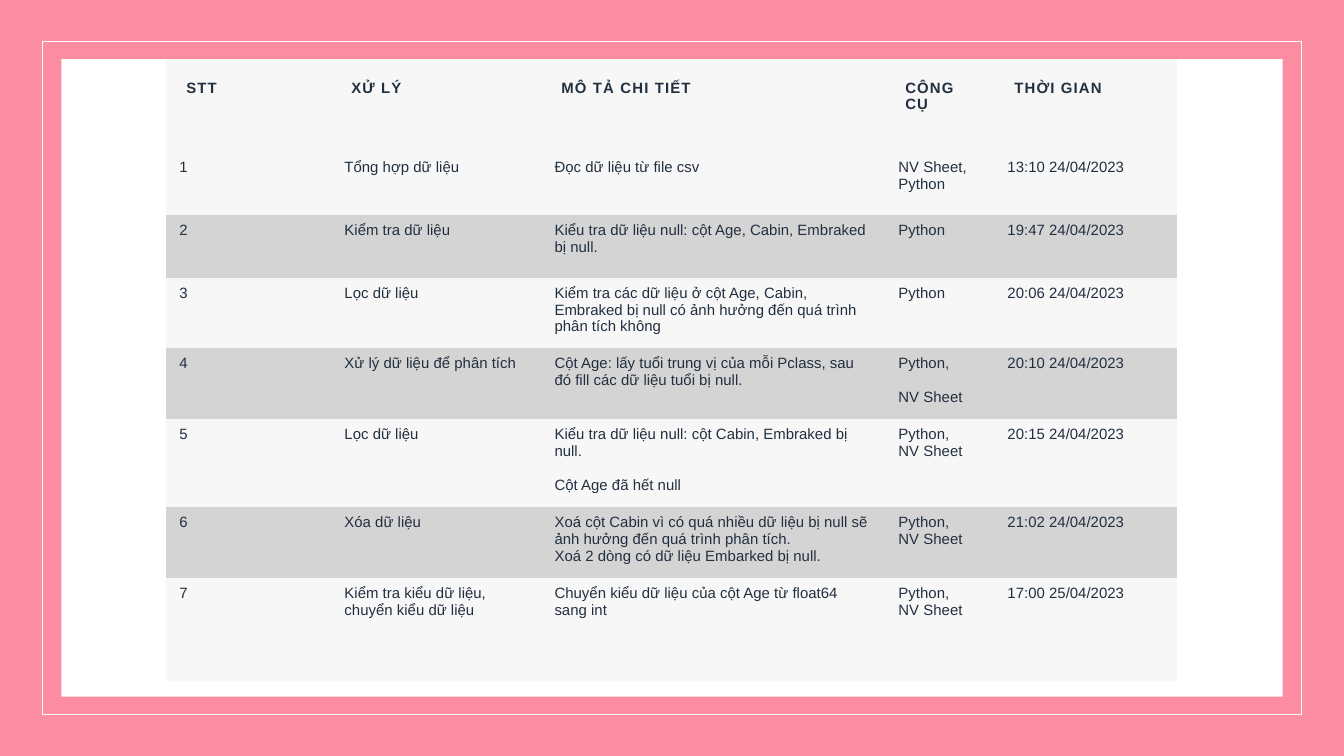
from dataclasses import dataclass

from pptx import Presentation
from pptx.dml.color import RGBColor
from pptx.enum.shapes import MSO_SHAPE
from pptx.oxml.ns import qn
from pptx.util import Cm, Pt


@dataclass(frozen=True)
class Theme:
    """Colours, type and line sizes of the slide."""
    background: str = "FAFAFA"
    frame: str = "FB8CA1"
    paper: str = "FFFFFF"
    ink: str = "222F3F"
    light_row: str = "F7F7F7"
    dark_row: str = "D4D4D4"
    font: str = "Arial"
    text_size: float = 8
    paragraph_gap: float = 9.2
    header_spacing: float = 0.6
    line_width: float = 0.5


THEME = Theme()
NO_GRID_STYLE = "{2D5ABB26-0587-4C30-8999-92F81FD0307C}"
PAGE_WIDTH, PAGE_HEIGHT = 25.4, 14.29
COLUMN_WIDTHS = [3.12, 3.97, 6.5, 2.06, 3.46]
ROW_HEIGHTS = [1.75, 1.19, 1.19, 1.33, 1.33, 1.65, 1.33, 1.96]
HEADER_INSETS = (0.38, 0.38, 0.38, 0.38)
BODY_INSETS = (0.25, 0.13, 0.25, 0.25)
HEADERS = ["STT", "XỬ LÝ", "MÔ TẢ CHI TIẾT", "CÔNG CỤ", "THỜI GIAN"]
BOTH_TOOLS = ["Python,", "NV Sheet"]
STEPS = [
    ("Tổng hợp dữ liệu", ["Đọc dữ liệu từ file csv"],
     ["NV Sheet, Python"], "13:10 24/04/2023"),
    ("Kiểm tra dữ liệu", ["Kiểu tra dữ liệu null: cột Age, Cabin, Embraked bị null."],
     ["Python"], "19:47 24/04/2023"),
    ("Lọc dữ liệu",
     ["Kiểm tra các dữ liệu ở cột Age, Cabin, Embraked bị null có ảnh hưởng "
      "đến quá trình phân tích không"],
     ["Python"], "20:06 24/04/2023"),
    ("Xử lý dữ liệu để phân tích",
     ["Cột Age: lấy tuổi trung vị của mỗi Pclass, sau đó fill các dữ liệu tuổi bị null."],
     BOTH_TOOLS, "20:10 24/04/2023"),
    ("Lọc dữ liệu",
     ["Kiểu tra dữ liệu null: cột Cabin, Embraked bị null.", "Cột Age đã hết null"],
     BOTH_TOOLS, "20:15 24/04/2023"),
    ("Xóa dữ liệu",
     ["Xoá cột Cabin vì có quá nhiều dữ liệu bị null sẽ ảnh hưởng đến quá trình phân tích.",
      "Xoá 2 dòng có dữ liệu Embarked bị null."],
     BOTH_TOOLS, "21:02 24/04/2023"),
    ("Kiểm tra kiểu dữ liệu, chuyển kiểu dữ liệu",
     ["Chuyển kiểu dữ liệu của cột Age từ float64 sang int"],
     BOTH_TOOLS, "17:00 25/04/2023"),
]
SPACED_CELLS = {(4, 3), (5, 2)}


def paint(fill, color):
    """Give a fill one solid colour."""
    fill.solid()
    fill.fore_color.rgb = RGBColor.from_string(color)


def add_panel(page, margin_x, margin_y, fill=None, line=None):
    """Add a rectangle centred on the page, inset by the margins."""
    box = page.shapes.add_shape(
        MSO_SHAPE.RECTANGLE, Cm(margin_x), Cm(margin_y),
        Cm(PAGE_WIDTH - 2 * margin_x), Cm(PAGE_HEIGHT - 2 * margin_y))
    box.shadow.inherit = False
    if fill:
        paint(box.fill, fill)
    else:
        box.fill.background()
    if line:
        paint(box.line.fill, line)
        box.line.width = Pt(THEME.line_width)
    else:
        box.line.fill.background()


def add_span(para, text, header):
    """Add one styled run to a paragraph."""
    span = para.add_run()
    span.text = text
    span.font.name = THEME.font
    span.font.size = Pt(THEME.text_size)
    span.font.bold = header
    span.font.color.rgb = RGBColor.from_string(THEME.ink)
    if header:
        span.font._element.set("spc", str(round(THEME.header_spacing * 100)))


def fill_cell(cell, lines, color, header=False, spaced=False):
    """Set the insets, fill and paragraphs of a table cell."""
    insets = HEADER_INSETS if header else BODY_INSETS
    cell.margin_left, cell.margin_top, cell.margin_right, cell.margin_bottom = map(Cm, insets)
    paint(cell.fill, color)
    frame = cell.text_frame
    for index, text in enumerate(lines):
        para = frame.add_paragraph() if index else frame.paragraphs[0]
        if index and spaced:
            para.space_before = Pt(THEME.paragraph_gap)
        add_span(para, text, header)


def add_step_table(page):
    """Add the table of data processing steps."""
    holder = page.shapes.add_table(
        len(ROW_HEIGHTS), len(COLUMN_WIDTHS), Cm(3.14), Cm(1.12),
        Cm(sum(COLUMN_WIDTHS)), Cm(sum(ROW_HEIGHTS)))
    table = holder.table
    table.first_row = table.horz_banding = False
    table._tbl.tblPr.find(qn("a:tableStyleId")).text = NO_GRID_STYLE
    for column, width in zip(table.columns, COLUMN_WIDTHS):
        column.width = Cm(width)
    for row, height in zip(table.rows, ROW_HEIGHTS):
        row.height = Cm(height)
    for column, title in enumerate(HEADERS):
        fill_cell(table.cell(0, column), [title], THEME.light_row, header=True)
    for number, (task, details, tools, time) in enumerate(STEPS, 1):
        color = THEME.light_row if number % 2 else THEME.dark_row
        for column, lines in enumerate([[str(number)], [task], details, tools, [time]]):
            fill_cell(table.cell(number, column), lines, color,
                      spaced=(number, column) in SPACED_CELLS)


def main():
    """Build the slide and save the deck."""
    deck = Presentation()
    deck.slide_width, deck.slide_height = Cm(PAGE_WIDTH), Cm(PAGE_HEIGHT)
    page = deck.slides.add_slide(deck.slide_layouts[6])
    paint(page.background.fill, THEME.background)
    add_panel(page, 0, 0, fill=THEME.frame)
    add_panel(page, 0.81, 0.78, line=THEME.paper)
    add_panel(page, 1.16, 1.12, fill=THEME.paper)
    add_step_table(page)
    deck.save("out.pptx")


if __name__ == "__main__":
    main()
